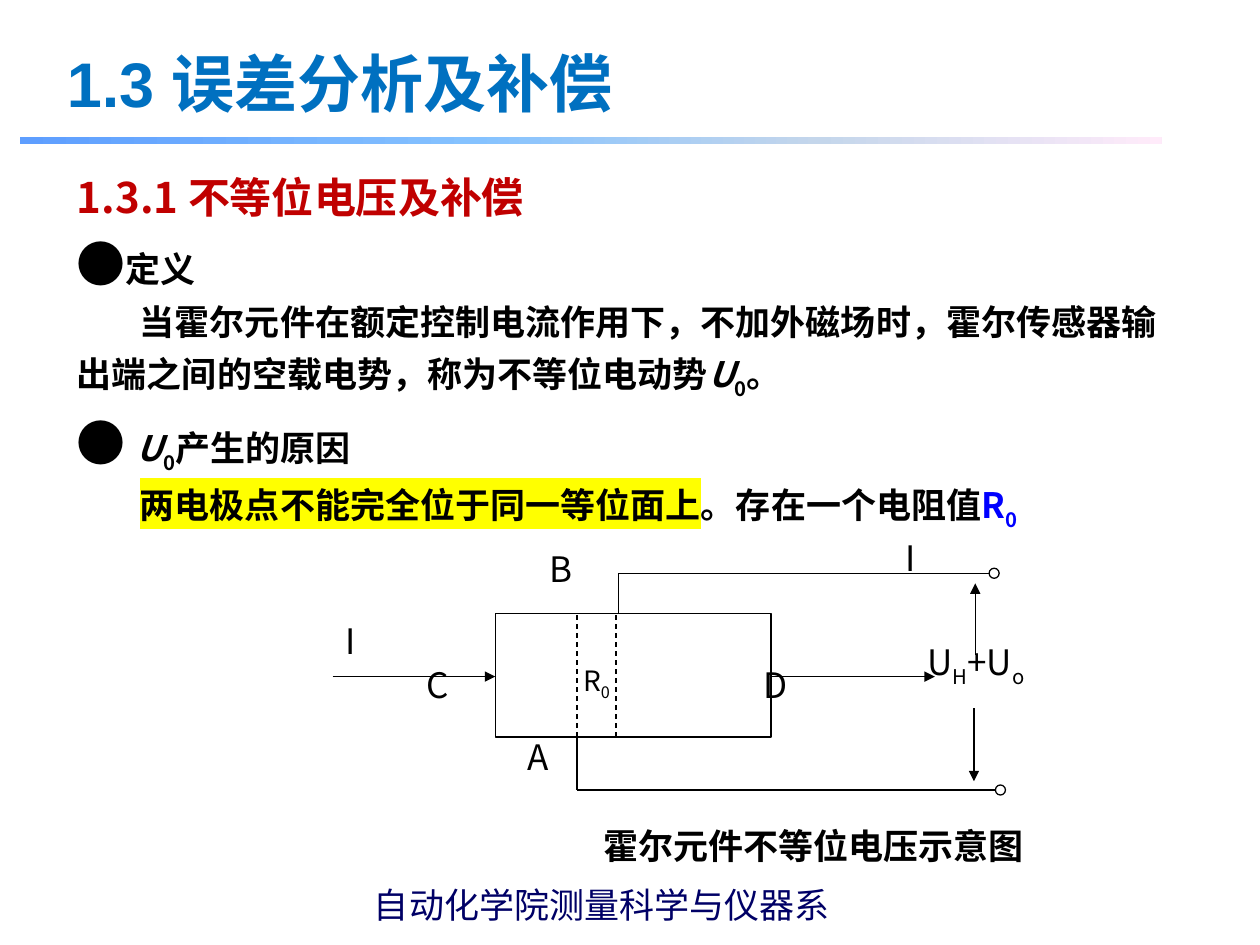
from dataclasses import dataclass

from lxml.etree import SubElement
from pptx import Presentation
from pptx.dml.color import RGBColor
from pptx.enum.dml import MSO_LINE_DASH_STYLE as Dash
from pptx.enum.shapes import MSO_CONNECTOR as Connector, MSO_SHAPE as Shape
from pptx.enum.text import MSO_ANCHOR as Anchor, MSO_AUTO_SIZE as AutoSize, PP_ALIGN as Align
from pptx.oxml.ns import qn
from pptx.util import Inches, Pt


@dataclass(frozen=True)
class Theme:
    title: str = "0070C0"
    heading: str = "C00000"
    ink: str = "000000"
    paper: str = "FFFFFF"
    footer: str = "000066"
    symbol: str = "0000FF"
    marker: str = "FFFF00"
    rule: tuple = ((0, "5E9EFF"), (40, "85C2FF"), (70, "C4D6EB"), (100, "FFEBFA"))
    font: str = "Noto Sans CJK SC"
    title_font: str = "Arial"
    footer_font: str = "Roboto"
    title_size: int = 36
    heading_size: int = 24
    bullet_size: int = 28
    text_size: int = 20
    small_size: int = 16
    line_width: float = 0.75
    line_spacing: float = 1.2
    first_line: float = 0.38


THEME = Theme()
SUB = {"subscript": True}
ITALIC = {"italic": True}
BULLET = {"size": THEME.bullet_size}


def rgb(value):
    return RGBColor.from_string(value)


def box(*lengths):
    return [Inches(length) for length in lengths]


def add_run(paragraph, text, size=THEME.text_size, color=THEME.ink, font=THEME.font,
            bold=False, italic=False, subscript=False, highlight=None):
    run = paragraph.add_run()
    run.text = text
    run.font.size = Pt(size)
    run.font.bold = bold
    run.font.italic = italic
    run.font.color.rgb = rgb(color)
    run.font.name = font
    properties = run.font._element
    east_asian = SubElement(properties, qn("a:ea"), typeface=font)
    latin = properties.find(qn("a:latin"))
    latin.addnext(east_asian)
    if subscript:
        properties.set("baseline", "-25000")
    if highlight:
        marker = SubElement(properties, qn("a:highlight"))
        SubElement(marker, qn("a:srgbClr"), val=highlight)
        latin.addprevious(marker)


def write(frame, *paragraphs, anchor=Anchor.TOP, **style):
    """Fill a frame; a paragraph is a list of (text, format overrides) runs."""
    frame.word_wrap = True
    frame.auto_size = AutoSize.NONE
    frame.vertical_anchor = anchor
    for number, runs in enumerate(paragraphs):
        paragraph = frame.add_paragraph() if number else frame.paragraphs[0]
        paragraph.alignment = Align.LEFT
        paragraph.line_spacing = THEME.line_spacing
        paragraph.space_before = Pt(0)
        properties = paragraph._p.get_or_add_pPr()
        properties.set("marL", "0")
        properties.set("indent", "0")
        SubElement(properties, qn("a:buNone"))
        tabs = SubElement(properties, qn("a:tabLst"))
        SubElement(tabs, qn("a:tab"), pos=str(Inches(THEME.first_line)), algn="l")
        for text, overrides in runs:
            add_run(paragraph, text, **{**style, **overrides})


def place(placeholder, *bounds):
    placeholder.left, placeholder.top, placeholder.width, placeholder.height = box(*bounds)
    return placeholder.text_frame


def add_label(shapes, bounds, *runs, **style):
    write(shapes.add_textbox(*box(*bounds)).text_frame, runs, **style)


def add_outlined(shapes, kind, *bounds):
    shape = shapes.add_shape(kind, *box(*bounds))
    shape.shadow.inherit = False
    shape.fill.solid()
    shape.fill.fore_color.rgb = rgb(THEME.paper)
    shape.line.color.rgb = rgb(THEME.ink)
    shape.line.width = Pt(THEME.line_width)


def add_wire(shapes, start, end, arrow=False, dashed=False):
    wire = shapes.add_connector(Connector.STRAIGHT, *box(*start, *end))
    wire.line.color.rgb = rgb(THEME.ink)
    wire.line.width = Pt(THEME.line_width)
    if dashed:
        wire.line.dash_style = Dash.DASH
    if arrow:
        SubElement(wire.line._get_or_add_ln(), qn("a:tailEnd"), type="triangle")
    SubElement(wire._element.spPr, qn("a:effectLst"))


def add_title_rule(shapes):
    rule = shapes.add_shape(Shape.RECTANGLE, *box(0.16, 1.09, 9.06, 0.05))
    rule.shadow.inherit = False
    rule.line.fill.background()
    rule.fill.gradient()
    rule.fill.gradient_angle = 0
    stops = rule._element.spPr.find(qn("a:gradFill")).find(qn("a:gsLst"))
    for stop in list(stops):
        stops.remove(stop)
    for percent, color in THEME.rule:
        stop = SubElement(stops, qn("a:gs"), pos=str(percent * 1000))
        SubElement(stop, qn("a:srgbClr"), val=color)


def add_circuit(shapes):
    left, right, top, bottom, middle = 3.93, 6.12, 4.87, 5.85, 5.37
    electrode_a, electrode_b = 4.58, 4.91
    upper, lower = 4.55, 6.27
    terminal = 0.08

    add_outlined(shapes, Shape.RECTANGLE, left, top, right - left, bottom - top)
    for start, end in (((2.64, middle), (left, middle)),
                       ((right, middle), (7.42, middle)),
                       ((7.74, 5.2), (7.74, 4.63)),
                       ((7.73, 5.62), (7.73, 6.2))):
        add_wire(shapes, start, end, arrow=True)
    for x, edge, level, end in ((electrode_a, bottom, lower, 7.9),
                                (electrode_b, top, upper, 7.85)):
        add_wire(shapes, (x, edge), (x, level))
        add_wire(shapes, (x, level), (end, level))
        add_outlined(shapes, Shape.OVAL, end, level - terminal / 2, terminal, terminal)
    for x in (electrode_a, 4.89):
        add_wire(shapes, (x, bottom), (x, top), dashed=True)

    for name, x, y in (("D", 5.96, 5.15), ("I", 2.64, 4.8), ("B", 4.26, 4.23),
                       ("C", 3.29, 5.15), ("I", 7.09, 4.14), ("A", 4.09, 5.72)):
        add_label(shapes, (x, y, 0.81, 0.62), (name, {}))
    add_label(shapes, (7.26, 4.96, 1.05, 0.62),
              ("U", {}), ("H", SUB), ("+U", {}), ("o", SUB))
    add_label(shapes, (4.53, 5.16, 0.81, 0.4), ("R", {}), ("0", SUB), size=THEME.small_size)


def main():
    presentation = Presentation()
    presentation.slide_width, presentation.slide_height = box(10, 7.5)
    slide = presentation.slides.add_slide(presentation.slide_layouts[1])
    shapes = slide.shapes
    title, body = slide.placeholders

    add_label(shapes, (2.87, 6.9, 4.1, 0.4), ("自动化学院测量科学与仪器系", {}),
              color=THEME.footer, font=THEME.footer_font)
    add_title_rule(shapes)
    write(place(title, 0.43, 0.13, 6.3, 0.92), [("1.3 误差分析及补偿", {})],
          anchor=Anchor.MIDDLE, size=THEME.title_size, color=THEME.title,
          font=THEME.title_font, bold=True)
    write(
        place(body, 0.51, 1.23, 8.82, 2.93),
        [("1.3.1 不等位电压及补偿", {"size": THEME.heading_size, "color": THEME.heading})],
        [("●", BULLET), ("定义", {})],
        [("\t当霍尔元件在额定控制电流作用下，不加外磁场时，霍尔传感器输出端之间的空载电势，"
          "称为不等位电动势", {}), ("U", ITALIC), ("0", SUB), ("。", {})],
        [("● ", BULLET), ("U", ITALIC), ("0", SUB), ("产生的原因", {})],
        [("\t两电极点不能完全位于同一等位面上", {"highlight": THEME.marker}),
         ("。存在一个电阻值", {}), ("R", {"color": THEME.symbol}),
         ("0", {"color": THEME.symbol, **SUB})],
        bold=True)
    add_circuit(shapes.add_group_shape().shapes)
    add_label(shapes, (4.69, 6.43, 4.49, 0.47), ("霍尔元件不等位电压示意图", {}), bold=True)
    presentation.save("out.pptx")


if __name__ == "__main__":
    main()
